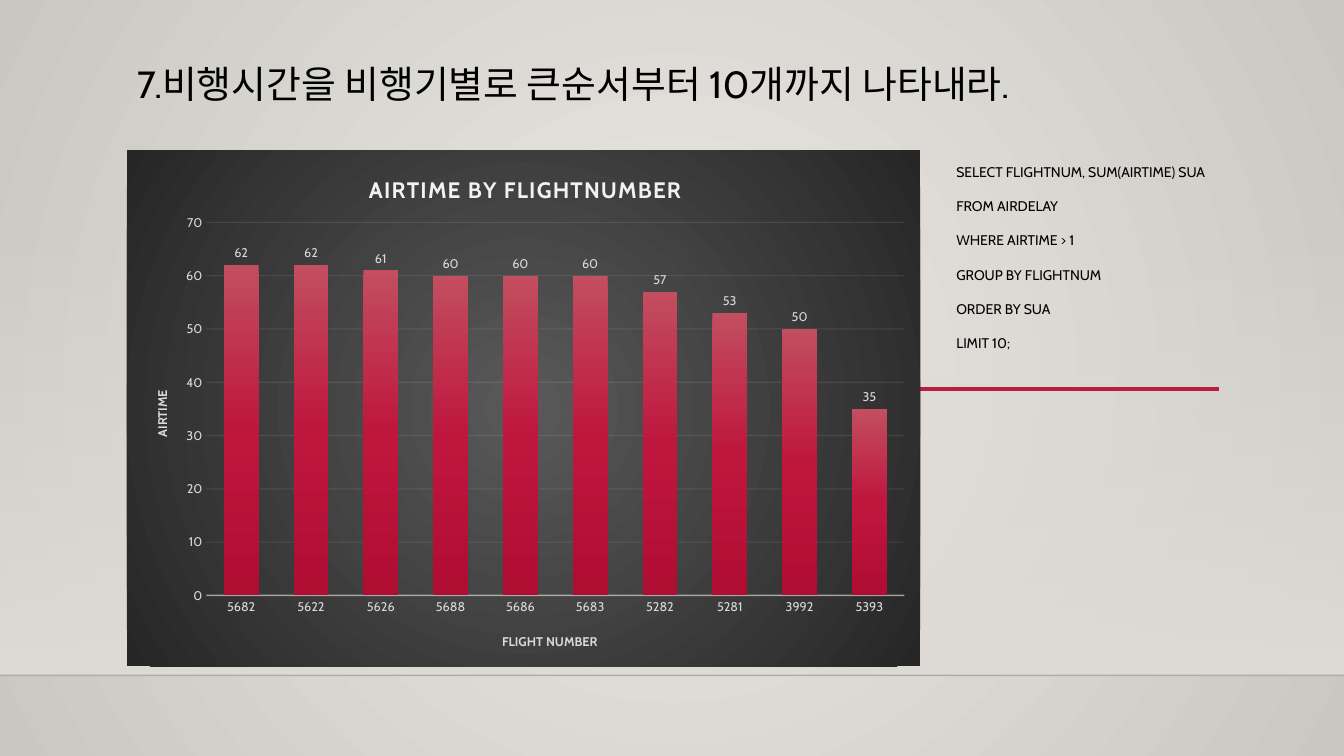
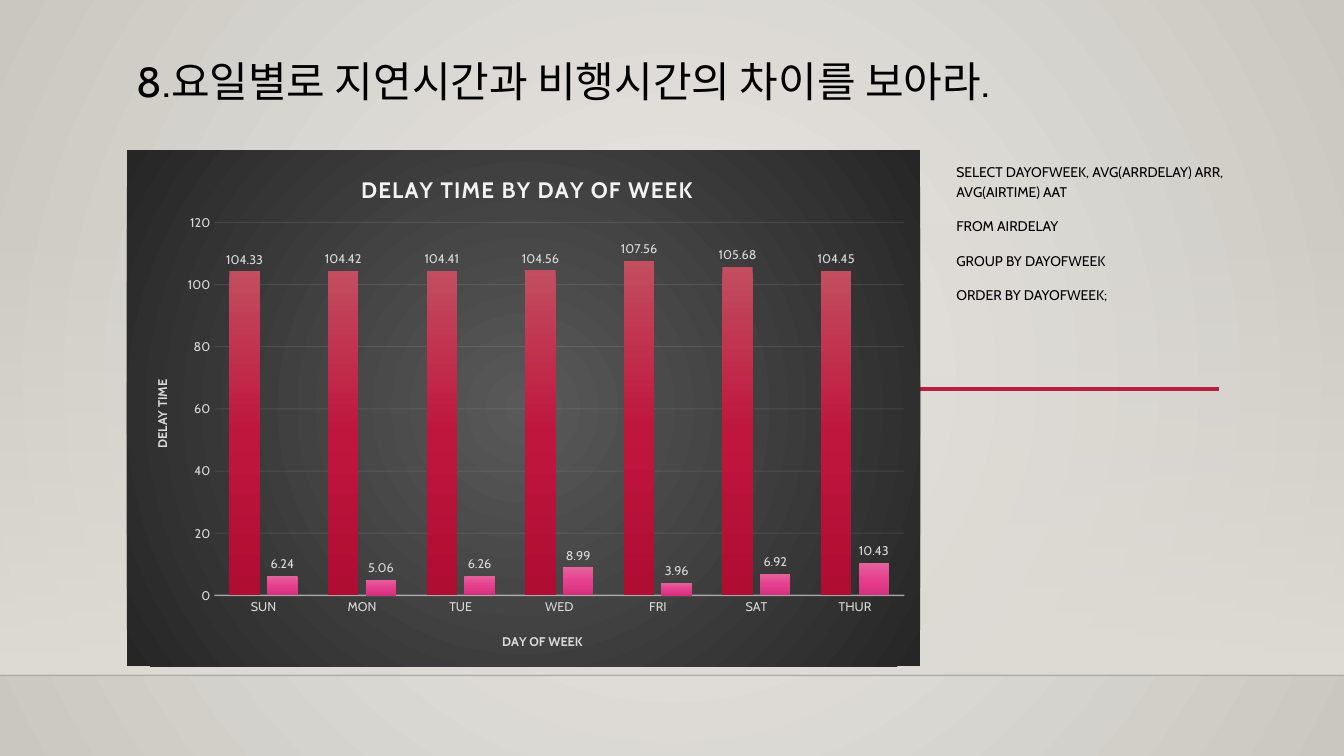
from lxml.etree import SubElement
from pptx import Presentation
from pptx.chart.data import CategoryChartData
from pptx.dml.color import RGBColor
from pptx.enum.chart import XL_CHART_TYPE, XL_LABEL_POSITION, XL_TICK_MARK
from pptx.enum.shapes import MSO_CONNECTOR, MSO_SHAPE
from pptx.enum.text import MSO_ANCHOR
from pptx.oxml import parse_xml
from pptx.oxml.ns import nsdecls, qn
from pptx.util import Pt

FONT = "Cabin"
WIDE, HIGH = 960, 540
LEFT, TOP = 90.7, 107.3
FLOOR = 482.4
BLACK, PALE, GREY, RED = "000000", "F2F2F2", "D9D9D9", "B71E42"
BACK = [(0, "ECEAE7", 100), (100, "CAC7C1", 100)]
BAND = [(0, "DFDBD5", 0), (100, "DFDBD5", 100)]
PANEL = [(0, "595959", 100), (100, "262626", 100)]
BARS = [
    [(0, "C24E5F", 100), (50, "BF163E", 100), (100, "B00D33", 100)],
    [(0, "E3639B", 100), (50, "E63F8E", 100), (100, "D5307D", 100)],
]


def color(code):
    return RGBColor.from_string(code)


def blend(stops, round_out=False):
    marks = "".join(
        f'<a:gs pos="{pos * 1000}"><a:srgbClr val="{code}">'
        f'<a:alpha val="{alpha * 1000}"/></a:srgbClr></a:gs>'
        for pos, code, alpha in stops
    )
    if round_out:
        way = ('<a:path path="circle"><a:fillToRect l="50000" t="50000" '
               'r="50000" b="50000"/></a:path>')
    else:
        way = '<a:lin ang="5400000" scaled="0"/>'
    return parse_xml(
        f'<a:gradFill {nsdecls("a")} rotWithShape="1">'
        f'<a:gsLst>{marks}</a:gsLst>{way}</a:gradFill>'
    )


def shade(fill, node, stops, round_out=False):
    fill.solid()
    fill.fore_color.rgb = color(BLACK)
    solid = next(node.iter(qn("a:solidFill")))
    solid.getparent().replace(solid, blend(stops, round_out))


def stroke(line, node, code, width, alpha=100):
    line.width = Pt(width)
    line.color.rgb = color(code)
    if alpha < 100:
        tint = next(node.iter(qn("a:srgbClr")))
        SubElement(tint, qn("a:alpha"), val=str(alpha * 1000))


def style(font, size, code, bold=False):
    font.name = FONT
    font.size = Pt(size)
    font.bold = bold
    font.color.rgb = color(code)


def rule(slide, x1, x2, y, code, width, alpha=100):
    line = slide.shapes.add_connector(
        MSO_CONNECTOR.STRAIGHT, Pt(x1), Pt(y), Pt(x2), Pt(y))
    stroke(line.line, line.element, code, width, alpha)
    SubElement(line.element.spPr, qn("a:effectLst"))


def frame(slide):
    shade(slide.background.fill, slide.element, BACK, True)
    band = slide.shapes.add_shape(
        MSO_SHAPE.RECTANGLE, 0, Pt(159), Pt(WIDE), Pt(FLOOR - 159))
    band.shadow.inherit = False
    band.line.fill.background()
    shade(band.fill, band.element, BAND)
    rule(slide, 0, WIDE, FLOOR, "000001", 1, 20)
    rule(slide, 190, 870.5, 278, RED, 2.5)


def write(slide, box, lines, size, space, before=0):
    text = slide.shapes.add_textbox(*map(Pt, box)).text_frame
    text.word_wrap = True
    text.text = "\n".join(lines)
    for para in text.paragraphs:
        para.line_spacing = space
        para.space_before = Pt(before)
        style(para.font, size, BLACK)
    return text


def head(slide, title, size):
    text = write(slide, (LEFT, 25.2, 694.8, 51.1), [title], size, 0.9)
    text.vertical_anchor = MSO_ANCHOR.BOTTOM
    text.margin_bottom = 0


def query(slide, lines, width):
    text = write(slide, (676, TOP, width, 266.4), lines, 10, 1.2, 10)
    text.margin_top = text.margin_bottom = Pt(7.2)


def place(node, index, x, y, size=None):
    for old in node.findall(qn("c:layout")):
        node.remove(old)
    vals = [("x", x), ("y", y)]
    inner = ""
    if size:
        vals += zip("wh", size)
        inner = '<c:layoutTarget val="inner"/>'
    modes = "".join(f'<c:{key}Mode val="edge"/>' for key in "xy")
    spots = "".join(f'<c:{key} val="{val:.3f}"/>' for key, val in vals)
    node.insert(index, parse_xml(
        f'<c:layout {nsdecls("c")}><c:manualLayout>{inner}{modes}{spots}'
        f'</c:manualLayout></c:layout>'))


def label(title, words, size, code, spot):
    text = title.text_frame
    text.text = words
    style(text.paragraphs[0].font, size, code, True)
    place(title.element if hasattr(title, "element") else title._element, 1, *spot)
    return text


def axes(chart, names, spots, top, step):
    cat, val = chart.category_axis, chart.value_axis
    for axis, name, spot in zip((cat, val), names, spots):
        axis.major_tick_mark = axis.minor_tick_mark = XL_TICK_MARK.NONE
        style(axis.tick_labels.font, 9, GREY)
        text = label(axis.axis_title, name, 9, GREY, spot)
    turn = text._txBody.bodyPr
    turn.set("rot", "-5400000")
    turn.set("vert", "horz")
    cat.has_major_gridlines = False
    stroke(cat.format.line, cat.format.line._get_or_add_ln(), PALE, 1, 54)
    val.minimum_scale, val.maximum_scale, val.major_unit = 0, top, step
    val.has_major_gridlines = True
    val.format.line.fill.background()
    grid = val.major_gridlines.format.line
    stroke(grid, grid._get_or_add_ln(), PALE, 0.75, 10)


def graph(slide, title, names, cats, rows, spots, plot_at, top, step):
    data = CategoryChartData()
    data.categories = cats
    for num, vals in enumerate(rows, 1):
        data.add_series(f"Series {num}", vals)
    chart = slide.shapes.add_chart(
        XL_CHART_TYPE.COLUMN_CLUSTERED, Pt(LEFT), Pt(TOP),
        Pt(566.6), Pt(368.6), data).chart
    style(chart.font, 10, BLACK)
    chart.has_legend = False
    chart.has_title = True
    text = label(chart.chart_title, title, 16, PALE, spots[0])
    text.paragraphs[0].runs[0].font._element.set("spc", "100")
    style(text.paragraphs[0].runs[0].font, 16, PALE, True)
    axes(chart, names, spots[1:], top, step)
    plot = chart.plots[0]
    plot.gap_width, plot.overlap = 100, -24
    plot.vary_by_categories = False
    plot.has_data_labels = True
    tags = plot.data_labels
    tags.show_value = True
    tags.position = XL_LABEL_POSITION.OUTSIDE_END
    style(tags.font, 9, GREY)
    for bar, node, stops in zip(plot.series, chart.element.iter(qn("c:ser")), BARS):
        shade(bar.format.fill, node, stops)
    x, y = plot_at
    area = next(chart.element.iter(qn("c:plotArea")))
    place(area, 0, x, y, (0.98 - x, 0.863 - y))
    panel = parse_xml(f'<c:spPr {nsdecls("c", "a")}><a:ln><a:noFill/></a:ln></c:spPr>')
    panel.insert(0, blend(PANEL, True))
    chart.element.find(qn("c:txPr")).addprevious(panel)


def main():
    deck = Presentation()
    deck.slide_width, deck.slide_height = Pt(WIDE), Pt(HIGH)
    first, second = [deck.slides.add_slide(deck.slide_layouts[6]) for _ in range(2)]

    frame(first)
    head(first, "7.비행시간을 비행기별로 큰순서부터 10개까지 나타내라.", 27)
    query(first, [
        "SELECT FLIGHTNUM, SUM(AIRTIME) SUA", "FROM AIRDELAY",
        "WHERE AIRTIME > 1", "GROUP BY FLIGHTNUM", "ORDER BY SUA", "LIMIT 10;",
    ], 200)
    graph(
        first, "AIRTIME BY FLIGHTNUMBER", ("FLIGHT NUMBER", "AIRTIME"),
        ["5682", "5622", "5626", "5688", "5686", "5683", "5282", "5281", "3992", "5393"],
        [[62, 62, 61, 60, 60, 60, 57, 53, 50, 35]],
        [(0.3, 0.04), (0.47, 0.93), (0.03, 0.46)], (0.1, 0.14), 70, 10)

    frame(second)
    head(second, "8.요일별로 지연시간과 비행시간의 차이를 보아라.", 30)
    query(second, [
        "SELECT DAYOFWEEK, AVG(ARRDELAY) ARR, AVG(AIRTIME) AAT",
        "FROM AIRDELAY", "GROUP BY DAYOFWEEK", "ORDER BY DAYOFWEEK;",
    ], 216.7)
    graph(
        second, "DELAY TIME BY DAY OF WEEK", ("DAY OF WEEK", "DELAY TIME"),
        ["SUN", "MON", "TUE", "WED", "FRI", "SAT", "THUR"],
        [[104.33, 104.42, 104.41, 104.56, 107.56, 105.68, 104.45],
         [6.24, 5.06, 6.26, 8.99, 3.96, 6.92, 10.43]],
        [(0.29, 0.04), (0.47, 0.93), (0.03, 0.44)], (0.11, 0.14), 120, 20)

    deck.save("out.pptx")


if __name__ == "__main__":
    main()
